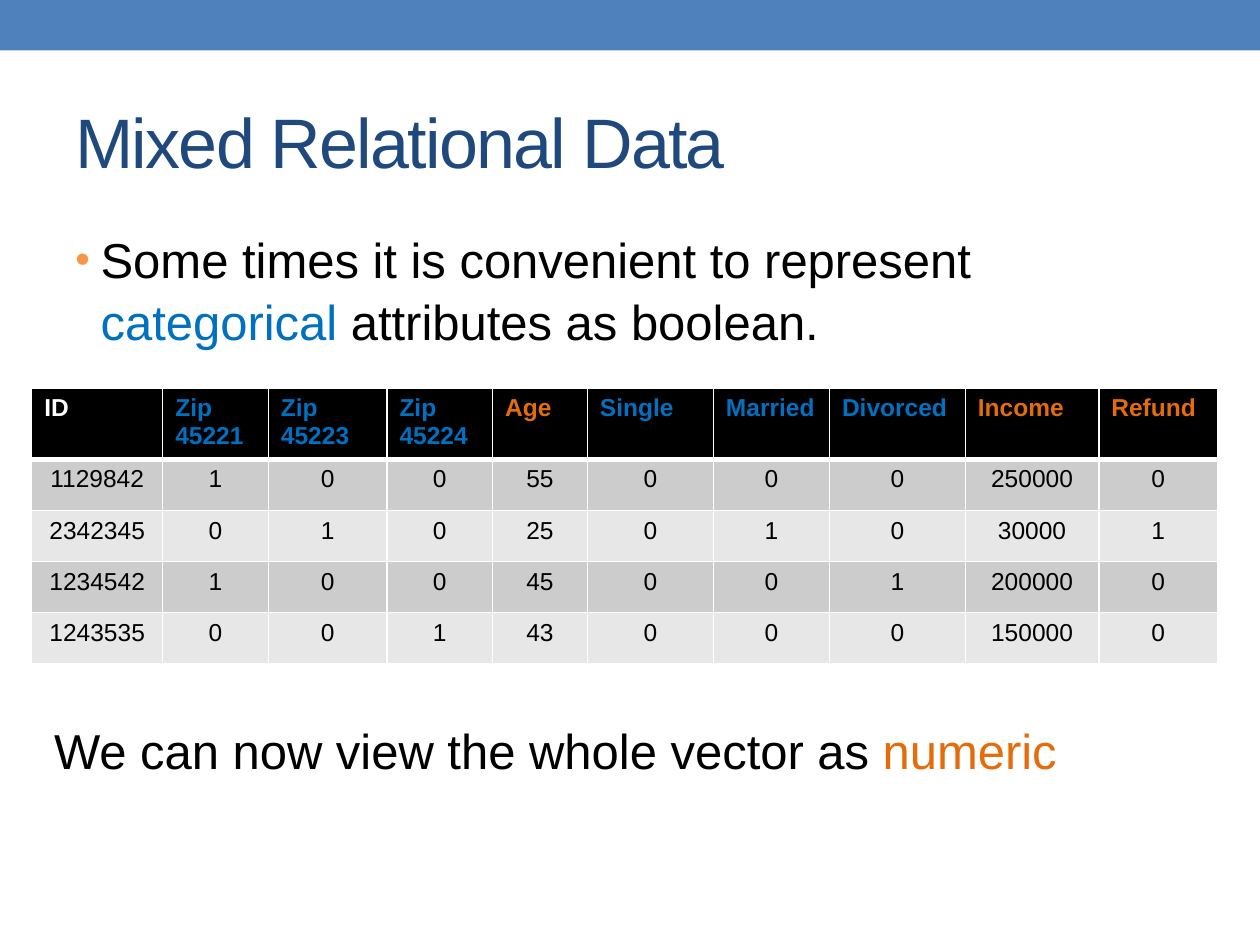
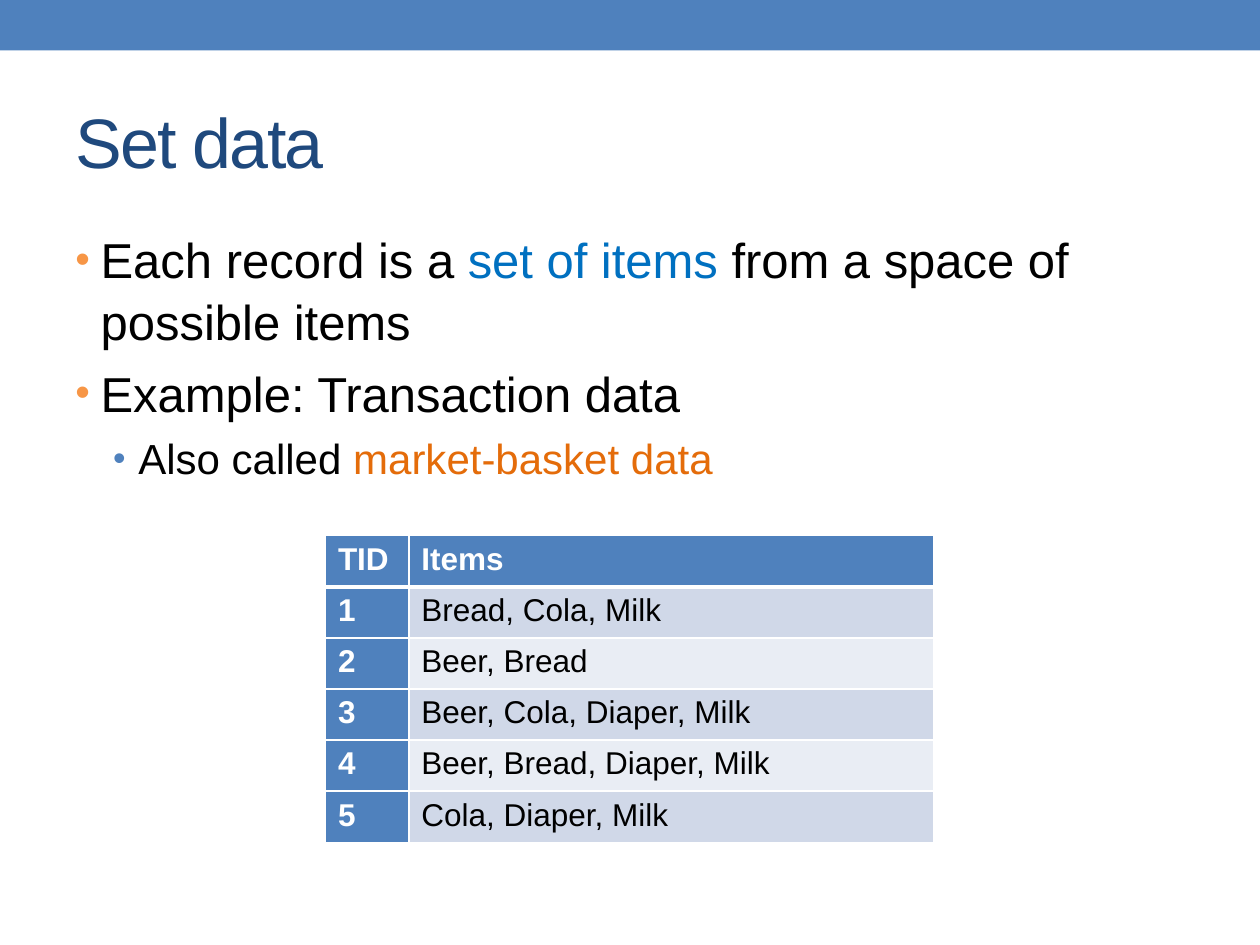
from lxml import etree
from pptx import Presentation
from pptx.dml.color import RGBColor
from pptx.enum.shapes import MSO_SHAPE
from pptx.enum.text import MSO_ANCHOR, PP_ALIGN
from pptx.oxml.ns import qn
from pptx.util import Cm, Pt

RECT = MSO_SHAPE.RECTANGLE
TOP, MIDDLE = MSO_ANCHOR.TOP, MSO_ANCHOR.MIDDLE
LEFT, CENTER = PP_ALIGN.LEFT, PP_ALIGN.CENTER
FONT = "Arial"
WHITE, BLACK = "FFFFFF", "000000"
BAND, NAVY = "4F81BD", "1F497D"
BLUE, ORANGE, PEACH = "0070C0", "E46C0A", "F79646"
GREYS = ("CCCCCC", "E7E7E7")
TINTS = ("D0D8E8", "E9EDF4")
ROW = 1.03
LEVELS = ((28, 0.51, PEACH), (24, 1.27, BAND))

HEADS = [("ID", WHITE), ("Zip 45221", BLUE), ("Zip 45223", BLUE),
         ("Zip 45224", BLUE), ("Age", ORANGE), ("Single", BLUE),
         ("Married", BLUE), ("Divorced", BLUE), ("Income", ORANGE),
         ("Refund", ORANGE)]
PEOPLE = [
    (1129842, 1, 0, 0, 55, 0, 0, 0, 250000, 0),
    (2342345, 0, 1, 0, 25, 0, 1, 0, 30000, 1),
    (1234542, 1, 0, 0, 45, 0, 0, 1, 200000, 0),
    (1243535, 0, 0, 1, 43, 0, 0, 0, 150000, 0),
]
BASKETS = ["Bread, Cola, Milk", "Beer, Bread", "Beer, Cola, Diaper, Milk",
           "Beer, Bread, Diaper, Milk", "Cola, Diaper, Milk"]


def color(code):
    """Turn a hex string into a colour."""
    return RGBColor.from_string(code)


def write(par, *parts, size=28, ink=BLACK, bold=False, align=LEFT, track=0):
    """Add parts, each a string or a (string, colour) pair, to a paragraph."""
    par.alignment = align
    for part in parts:
        words, hue = (part, ink) if isinstance(part, str) else part
        run = par.add_run()
        run.text = words
        font = run.font
        font.name, font.size, font.bold = FONT, Pt(size), bold
        font.color.rgb = color(hue)
        if track:
            run._r.get_or_add_rPr().set("spc", str(track * 100))


def add_box(slide, x, y, w, h, anchor=TOP):
    """Add a wrapping text box and return its frame."""
    frame = slide.shapes.add_textbox(Cm(x), Cm(y), Cm(w), Cm(h)).text_frame
    frame.word_wrap = True
    frame.vertical_anchor = anchor
    return frame


def add_slide(deck, title):
    """Add a blank slide with the top band and a title."""
    slide = deck.slides.add_slide(deck.slide_layouts[6])
    band = slide.shapes.add_shape(RECT, 0, 0, deck.slide_width, Cm(1.02))
    band.shadow.inherit = False
    band.fill.solid()
    band.fill.fore_color.rgb = color(BAND)
    band.line.fill.background()
    frame = add_box(slide, 1.27, 1.47, 22.86, 2.74, MIDDLE)
    write(frame.paragraphs[0], title, size=40, ink=NAVY, track=-1)
    return slide


def set_bullet(par, indent, hue):
    """Give a paragraph a hanging coloured bullet."""
    props = par._p.get_or_add_pPr()
    props.set("marL", str(Cm(indent)))
    props.set("indent", str(-Cm(0.51)))
    tint = etree.SubElement(props, qn("a:buClr"))
    etree.SubElement(tint, qn("a:srgbClr"), val=hue)
    etree.SubElement(props, qn("a:buSzPct"), val="85000")
    etree.SubElement(props, qn("a:buFont"), typeface=FONT)
    etree.SubElement(props, qn("a:buChar"), char="•")


def add_list(slide, *items):
    """Add a bullet list of (level, parts) items."""
    frame = add_box(slide, 1.27, 4.45, 22.86, 13.54)
    for i, (level, parts) in enumerate(items):
        par = frame.add_paragraph() if i else frame.paragraphs[0]
        size, indent, hue = LEVELS[level]
        set_bullet(par, indent, hue)
        par.line_spacing = 1.05
        if i:
            par.space_before = Pt(size * 0.2)
        write(par, *parts, size=size)


def set_edges(cell, top, low):
    """Draw white cell borders with the given top and bottom widths."""
    props = cell._tc.get_or_add_tcPr()
    for side, width in zip("LRTB", (1, 1, top, low)):
        line = etree.SubElement(props, qn(f"a:ln{side}"), w=str(Pt(width)))
        fill = etree.SubElement(line, qn("a:solidFill"))
        etree.SubElement(fill, qn("a:srgbClr"), val=WHITE)


def add_grid(slide, x, y, widths, rows, look):
    """Add a table; look(row, column) gives the fill and text format."""
    shape = slide.shapes.add_table(len(rows), len(widths), Cm(x), Cm(y),
                                   Cm(sum(widths)), Cm(ROW * len(rows)))
    table = shape.table
    for col, width in zip(table.columns, widths):
        col.width = Cm(width)
    for r, row in enumerate(rows):
        table.rows[r].height = Cm(ROW)
        for c, part in enumerate(row):
            cell = table.cell(r, c)
            fill, style = look(r, c)
            set_edges(cell, 3 if r == 1 else 1, 1 if r else 3)
            cell.fill.solid()
            cell.fill.fore_color.rgb = color(fill)
            write(cell.text_frame.paragraphs[0], part, **style)


def mixed_look(r, c):
    """Format the cells of the mixed data table."""
    if r == 0:
        return BLACK, dict(size=14, bold=True)
    return GREYS[(r - 1) % 2], dict(size=14, align=CENTER)


def basket_look(r, c):
    """Format the cells of the basket table."""
    if r == 0 or c == 0:
        return BAND, dict(size=18, ink=WHITE, bold=True)
    return TINTS[(r - 1) % 2], dict(size=18)


def mixed_slide(deck):
    """Build the slide on mixed relational data."""
    slide = add_slide(deck, "Mixed Relational Data")
    add_list(slide, (0, ["Some times it is convenient to represent ",
                         ("categorical ", BLUE), "attributes as boolean."]))
    widths = (2.64, 2.13, 2.39, 2.13, 1.91, 2.54, 2.34, 2.74, 2.69, 2.39)
    rows = [HEADS] + [map(str, row) for row in PEOPLE]
    add_grid(slide, 0.64, 7.82, widths, rows, mixed_look)
    frame = add_box(slide, 0.84, 14.4, 20.98, 1.45)
    write(frame.paragraphs[0], "We can now view the whole vector as ",
          ("numeric", ORANGE))


def set_slide(deck):
    """Build the slide on set data."""
    slide = add_slide(deck, "Set data")
    add_list(slide,
             (0, ["Each record is a ", ("set of items ", BLUE),
                  "from a space of possible items"]),
             (0, ["Example: Transaction data"]),
             (1, ["Also called ", ("market-basket data", ORANGE)]))
    rows = [("TID", "Items")]
    rows += [(str(i), items) for i, items in enumerate(BASKETS, 1)]
    add_grid(slide, 6.56, 10.8, (1.68, 10.59), rows, basket_look)


def main():
    """Build and save the deck."""
    deck = Presentation()
    deck.slide_width, deck.slide_height = Cm(25.4), Cm(19.05)
    mixed_slide(deck)
    set_slide(deck)
    deck.save("out.pptx")


if __name__ == "__main__":
    main()
